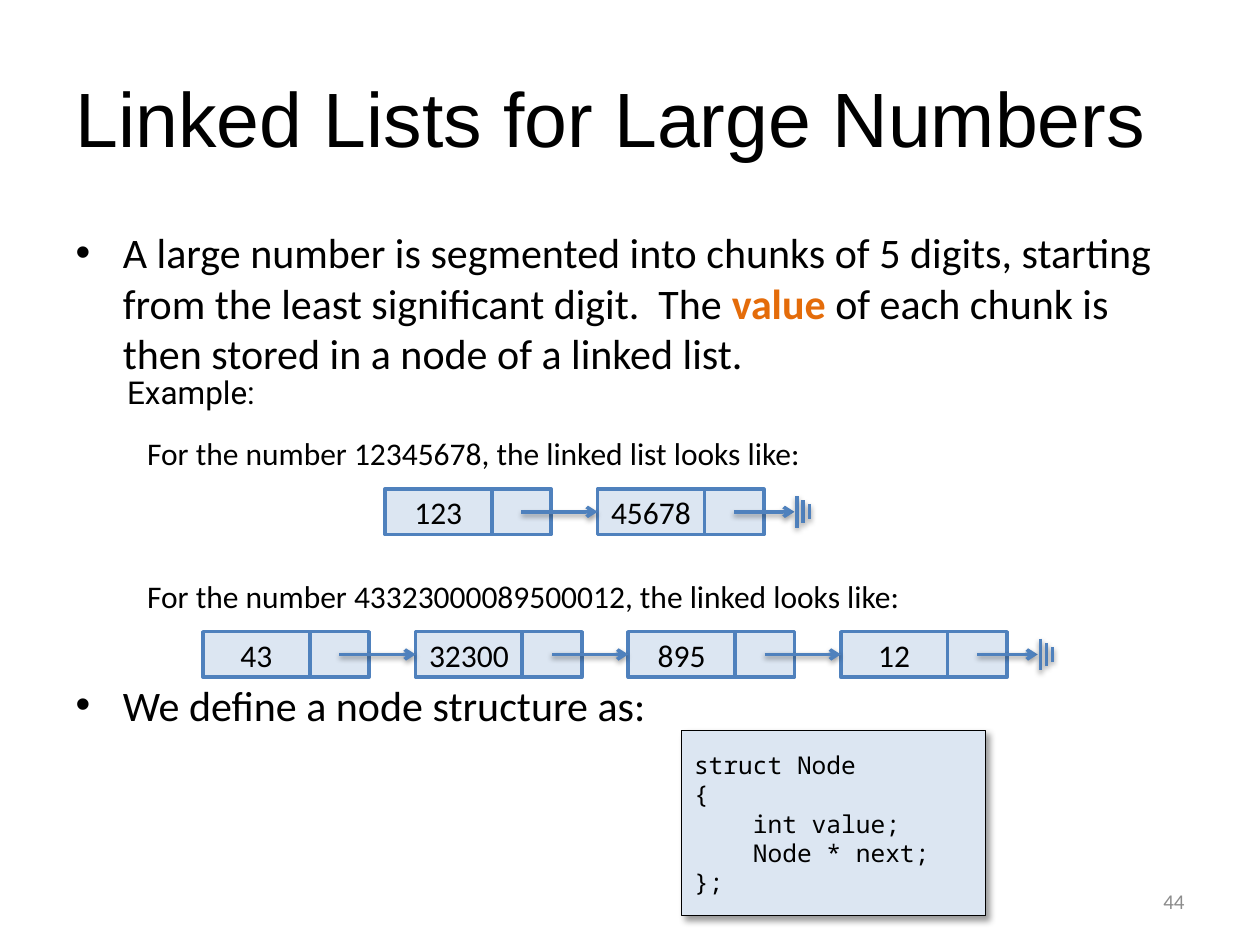
from lxml.etree import SubElement
from pptx import Presentation
from pptx.dml.color import RGBColor
from pptx.enum.shapes import MSO_CONNECTOR as CONNECTOR, MSO_SHAPE as SHAPE
from pptx.enum.text import MSO_ANCHOR as ANCHOR, MSO_AUTO_SIZE as AUTO_SIZE, PP_ALIGN as ALIGN
from pptx.oxml.ns import qn
from pptx.util import Pt

rgb = RGBColor.from_string
BLUE, PALE, BLACK, ORANGE, GRAY = "4F81BD", "DCE6F2", "000000", "E46C0A", "8C8C8C"


def add_text(paragraph, text, size=18, font="Calibri", color=BLACK, bold=False, align=ALIGN.LEFT):
    paragraph.alignment = align
    run = paragraph.add_run()
    run.text = text
    run.font.size = Pt(size)
    run.font.name = font
    run.font.bold = bold
    run.font.color.rgb = rgb(color)


def add_shadow(shape, blur, distance, angle, opacity):
    """Add a black outer shadow; lengths in points, angle in degrees, opacity in percent."""
    effects = SubElement(shape._element.spPr, qn("a:effectLst"))
    shadow = SubElement(effects, qn("a:outerShdw"), blurRad=str(Pt(blur)), dist=str(Pt(distance)),
                        dir=str(angle * 60000), algn="ctr", rotWithShape="0")
    color = SubElement(shadow, qn("a:srgbClr"), val=BLACK)
    SubElement(color, qn("a:alpha"), val=str(opacity * 1000))


presentation = Presentation()
presentation.slide_width, presentation.slide_height = Pt(720), Pt(540)
slide = presentation.slides.add_slide(presentation.slide_layouts[1])
shapes = slide.shapes

# Title and bullets
title, body = slide.placeholders
title.left, title.top, title.width, title.height = Pt(36), Pt(21.6), Pt(648), Pt(90)
title.text_frame.auto_size = AUTO_SIZE.NONE
title.text_frame.vertical_anchor = ANCHOR.MIDDLE
add_text(title.text_frame.paragraphs[0], "Linked Lists for Large Numbers", size=44, font="Arial")

body.left, body.top, body.width, body.height = Pt(36), Pt(126), Pt(648), Pt(356.4)
body.text_frame.auto_size = AUTO_SIZE.NONE
paragraph = body.text_frame.paragraphs[0]
paragraph.space_before = Pt(0)
add_text(paragraph, "A large number is segmented into chunks of 5 digits, starting "
         "from the least significant digit.  The ", size=24)
add_text(paragraph, "value ", size=24, color=ORANGE, bold=True)
add_text(paragraph, "of each chunk is then stored in a node of a linked list.", size=24)
paragraph = body.text_frame.add_paragraph()
paragraph.space_before = Pt(172)  # room for the two example lists
add_text(paragraph, "We define a node structure as:", size=24)

# Captions and slide number
for left, top, width, text, style in [
    (65.5, 209.5, 98, "Example:", {"font": "Roboto"}),
    (77, 244, 393, "For the number 12345678, the linked list looks like:", {}),
    (77, 326, 451, "For the number 43323000089500012, the linked looks like:", {}),
    (516, 500.4, 168, "44", {"size": 12, "color": GRAY, "align": ALIGN.RIGHT}),
]:
    caption = shapes.add_textbox(Pt(left), Pt(top), Pt(width), Pt(29))
    caption.text_frame.word_wrap = True
    caption.text_frame.vertical_anchor = ANCHOR.MIDDLE
    add_text(caption.text_frame.paragraphs[0], text, **style)

# Linked lists: each node is a value cell and a pointer cell
VALUE_WIDTH, POINTER_WIDTH, NODE_HEIGHT, NODE_PITCH = 61, 34, 26, 121.5
for list_left, list_top, values in [
    (220, 279.5, ["123", "45678"]),
    (116, 361, ["43", "32300", "895", "12"]),
]:
    middle = list_top + NODE_HEIGHT / 2
    value_cells = []
    for index, value in enumerate(values):
        left = list_left + index * NODE_PITCH
        for cell_left, width, text in [(left, VALUE_WIDTH, value),
                                       (left + VALUE_WIDTH, POINTER_WIDTH, "")]:
            cell = shapes.add_shape(SHAPE.RECTANGLE, Pt(cell_left), Pt(list_top),
                                    Pt(width), Pt(NODE_HEIGHT))
            cell.shadow.inherit = False
            cell.fill.solid()
            cell.fill.fore_color.rgb = rgb(PALE)
            cell.line.color.rgb = rgb(BLUE)
            cell.line.width = Pt(2)
            if text:
                frame = cell.text_frame
                frame.word_wrap = False
                frame.vertical_anchor = ANCHOR.MIDDLE
                add_text(frame.paragraphs[0], text, align=ALIGN.CENTER)
                value_cells.append(cell)

    # Pointers run to the next node; the last one runs to the null sign
    last_left = list_left + (len(values) - 1) * NODE_PITCH
    null_left = last_left + 114
    lines = []
    for index, next_cell in enumerate(value_cells[1:] + [None]):
        start = list_left + index * NODE_PITCH + VALUE_WIDTH + POINTER_WIDTH / 2
        end = list_left + (index + 1) * NODE_PITCH if next_cell else null_left - 1.5
        lines.append((start, middle, end, middle, True, next_cell))
    for index, half_height in enumerate([9, 6.5, 4.3]):
        x = null_left + index * 3.5
        lines.append((x, middle - half_height, x, middle + half_height, False, None))

    for x1, y1, x2, y2, has_arrow, next_cell in lines:
        line = shapes.add_connector(CONNECTOR.STRAIGHT, Pt(x1), Pt(y1), Pt(x2), Pt(y2))
        line.line.color.rgb = rgb(BLUE)
        line.line.width = Pt(2)
        if has_arrow:
            SubElement(line.line._get_or_add_ln(), qn("a:tailEnd"), type="arrow")
        if next_cell:
            line.end_connect(next_cell, 1)
        add_shadow(line, blur=3.1, distance=1.6, angle=90, opacity=38)

# Node structure
code_box = shapes.add_shape(SHAPE.RECTANGLE, Pt(389.5), Pt(417.6), Pt(173.5), Pt(105.8))
code_box.fill.solid()
code_box.fill.fore_color.rgb = rgb(PALE)
code_box.line.color.rgb = rgb(BLACK)
code_box.line.width = Pt(0.75)
add_shadow(code_box, blur=4, distance=3, angle=45, opacity=40)
frame = code_box.text_frame
frame.word_wrap = True
frame.vertical_anchor = ANCHOR.MIDDLE
code = ["struct Node", "{", "    int value;", "    Node * next;", "};"]
for index, code_line in enumerate(code):
    paragraph = frame.add_paragraph() if index else frame.paragraphs[0]
    add_text(paragraph, code_line, size=14, font="Noto Sans Mono")

presentation.save("out.pptx")
